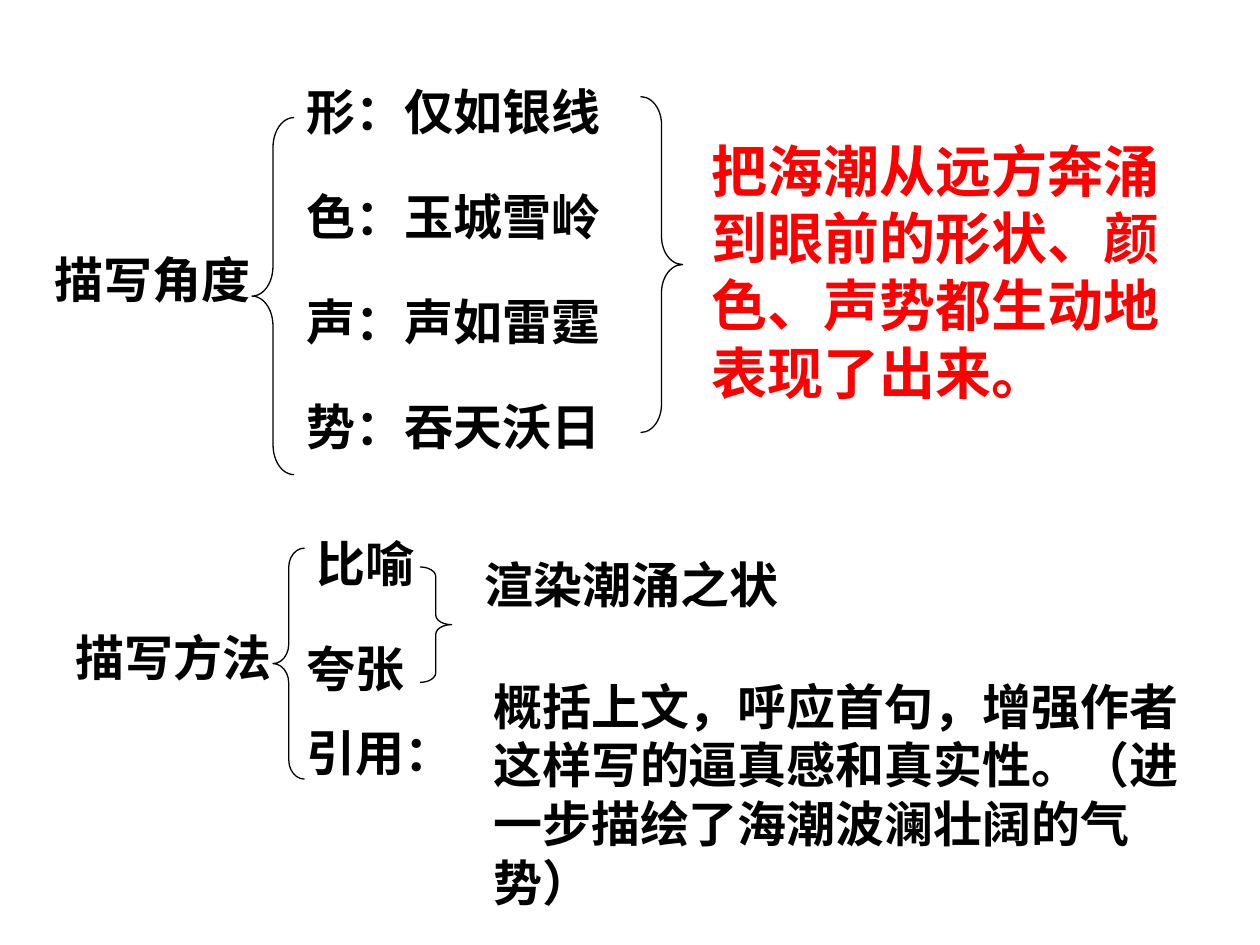
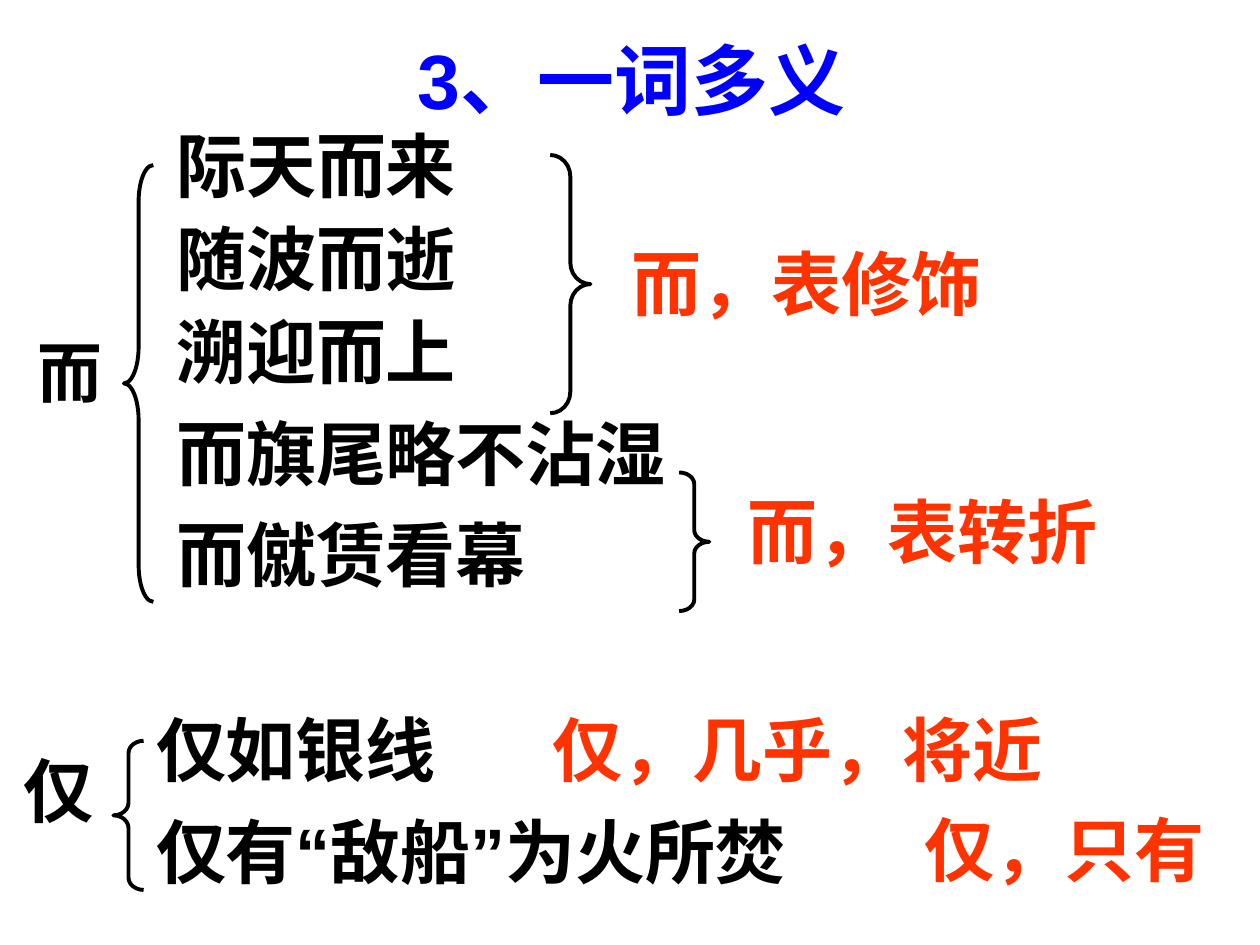
from lxml.etree import SubElement
from pptx import Presentation
from pptx.dml.color import RGBColor
from pptx.enum.lang import MSO_LANGUAGE_ID as Lang
from pptx.enum.shapes import MSO_SHAPE as Shape
from pptx.enum.text import MSO_ANCHOR as Anchor, PP_ALIGN as Align
from pptx.oxml.ns import qn
from pptx.util import Inches, Pt

BLACK = RGBColor(0x00, 0x00, 0x00)
RED = RGBColor(0xFF, 0x00, 0x00)
ORANGE = RGBColor(0xFF, 0x33, 0x00)
BLUE = RGBColor(0x00, 0x00, 0xFF)

SERIF, SANS, HAN = "Times New Roman", "Arial", "Noto Sans CJK SC"
CELL = 1 / 6          # the slide is a grid of 60 columns by 45 rows
LEADING = 1.2         # line height as a share of the text size
LINE = 3.4            # rows taken by a one-line box on the first slide
GLOSS_LINE = 4.74     # rows taken by a one-line box on the second slide
TITLE_ONLY, BLANK = 5, 6


def cells(*values):
    return [Inches(value * CELL) for value in values]


def within(origin, left, top, width, height):
    """Turn a place inside a region into a place on the slide."""
    return cells(origin[0] + left, origin[1] + top, width, height)


def apply(target, values):
    for name, value in values.items():
        setattr(target, name, value)


def write_runs(paragraph, runs, size, color):
    for words, face in runs:
        run = paragraph.add_run()
        run.text = words
        apply(run.font, dict(size=Pt(size), bold=True, name=face,
                             language_id=Lang.SIMPLIFIED_CHINESE))
        run.font.color.rgb = color
        SubElement(run.font._element, qn("a:ea"), typeface=SANS)


def add_text(slide, place, paragraphs, size, color=BLACK, shrink=()):
    """Each paragraph is a list of (words, typeface); shrink holds tighter ones."""
    frame = slide.shapes.add_textbox(*place).text_frame
    frame.word_wrap = True
    for index, runs in enumerate(paragraphs):
        paragraph = frame.paragraphs[0] if index == 0 else frame.add_paragraph()
        leading = LEADING * (0.9 if index in shrink else 1)
        apply(paragraph, dict(space_before=Pt(10), line_spacing=Pt(size * leading)))
        write_runs(paragraph, runs, size, color)


def add_brace(slide, kind, place, weight):
    brace = slide.shapes.add_shape(kind, *place)
    brace.shadow.inherit = False
    brace.fill.background()
    brace.line.color.rgb = BLACK
    brace.line.width = Pt(weight)
    # Each curl takes a twelfth of the height
    brace.adjustments[0] = brace.height / 12 / brace.width


def around(word, phrase):
    """Split a phrase so that the studied word gets its own typeface."""
    before, found, after = phrase.partition(word)
    parts = [(before, HAN), (found, SANS), (after, HAN)]
    return [part for part in parts if part[0]]


# Slide 1: angles and methods of description
def note(slide, origin, left, top, width, words):
    add_text(slide, within(origin, left, top, width, LINE), [[(words, SERIF)]], 28)


def angle_region(slide, origin):
    note(slide, origin, 0, 8, 19.5, "描写角度")
    add_brace(slide, Shape.LEFT_BRACE, within(origin, 10, 2, 2, 17), 0.75)
    angles = ["形：仅如银线", "色：玉城雪岭", "声：声如雷霆", "势：吞天沃日"]
    for row, angle in enumerate(angles):
        note(slide, origin, 12, 5 * row, 17, angle)
    add_brace(slide, Shape.RIGHT_BRACE, within(origin, 28.5, 1, 2, 16), 0.75)
    effect = "把海潮从远方奔涌到眼前的形状、颜色、声势都生动地表现了出来。"
    add_text(slide, within(origin, 31.3, 2.6, 24.5, 13.44),
             [[(effect, SERIF)]], 32, RED)


def method_region(slide, origin):
    note(slide, origin, 0, 4.5, 22, "描写方法")
    add_brace(slide, Shape.LEFT_BRACE, within(origin, 10, 1, 1.5, 11), 0.75)
    for left, top, method in [(11.5, 0, "比喻"), (11, 5, "夸张"), (11, 9, "引用：")]:
        note(slide, origin, left, top, 8.4, method)
    add_brace(slide, Shape.RIGHT_BRACE, within(origin, 17, 1.9, 1.5, 5.5), 0.75)
    note(slide, origin, 19.5, 1, 22, "渲染潮涌之状")
    quoting = [("概括上文，呼应首句，增强作者这样写的逼真感和真实性。（进一步描绘了", SERIF),
               ("海潮波澜壮阔的气势", SANS), ("）", SERIF)]
    add_text(slide, within(origin, 19.9, 6.8, 36, 11.8), [quoting], 28)


def description_slide(deck):
    slide = deck.slides.add_slide(deck.slide_layouts[BLANK])
    angle_region(slide, (2, 3.6))
    method_region(slide, (3, 25.1))


# Slide 2: one word, several meanings
def title_region(slide, words):
    title = slide.shapes.title
    apply(title, dict(zip(("left", "top", "width", "height"),
                          cells(2.1, 0, 56, 7.5))))
    title.text_frame.vertical_anchor = Anchor.MIDDLE
    paragraph = title.text_frame.paragraphs[0]
    apply(paragraph, dict(alignment=Align.CENTER, line_spacing=Pt(44 * LEADING)))
    write_runs(paragraph, [(words, SANS)], 44, BLUE)


def gloss(slide, origin, left, top, width, words):
    add_text(slide, within(origin, left, top, width, GLOSS_LINE),
             [[(words, SANS)]], 40, ORANGE)


def er_region(slide, origin):
    word = "而"
    add_text(slide, within(origin, 0, 9.96, 4.86, 4.5), [[(word, HAN)]], 37,
             shrink=(0,))
    add_brace(slide, Shape.LEFT_BRACE, within(origin, 4.7, 1.92, 1.4, 20.8), 2.25)
    phrases = ["际天而来", "随波而逝", "溯迎而上", "而旗尾略不沾湿", "而僦赁看幕"]
    add_text(slide, within(origin, 6.6, 0, 25, 23.6),
             [around(word, phrase) for phrase in phrases], 40, shrink=range(3))
    add_brace(slide, Shape.RIGHT_BRACE, within(origin, 25, 1.44, 1.92, 12.3), 2.25)
    gloss(slide, origin, 28.3, 5.22, 25, "而，表修饰")
    add_brace(slide, Shape.RIGHT_BRACE, within(origin, 31.14, 16.56, 1.44, 6.6), 2.25)
    gloss(slide, origin, 33.8, 17.04, 25, "而，表转折")


def jin_region(slide, origin):
    word = "仅"
    add_text(slide, within(origin, 0, 1.92, 5.34, 4.9), [[(word, HAN)]], 40)
    add_brace(slide, Shape.LEFT_BRACE, within(origin, 4.86, 1.92, 1.44, 7.1), 2.25)
    phrases = ["仅如银线", "仅有“敌船”为火所焚"]
    add_text(slide, within(origin, 6.3, 0, 44.9, 9.9),
             [around(word, phrase) for phrase in phrases], 40)
    gloss(slide, origin, 25.2, 0, 25, "仅，几乎，将近")
    gloss(slide, origin, 42.9, 4.74, 16.56, "仅，只有")


def meanings_slide(deck):
    slide = deck.slides.add_slide(deck.slide_layouts[TITLE_ONLY])
    title_region(slide, "3、一词多义")
    er_region(slide, (1.2, 5.94))
    jin_region(slide, (0.54, 33.36))


def main():
    deck = Presentation()
    deck.slide_width, deck.slide_height = cells(60, 45)
    description_slide(deck)
    meanings_slide(deck)
    deck.save("out.pptx")


if __name__ == "__main__":
    main()
